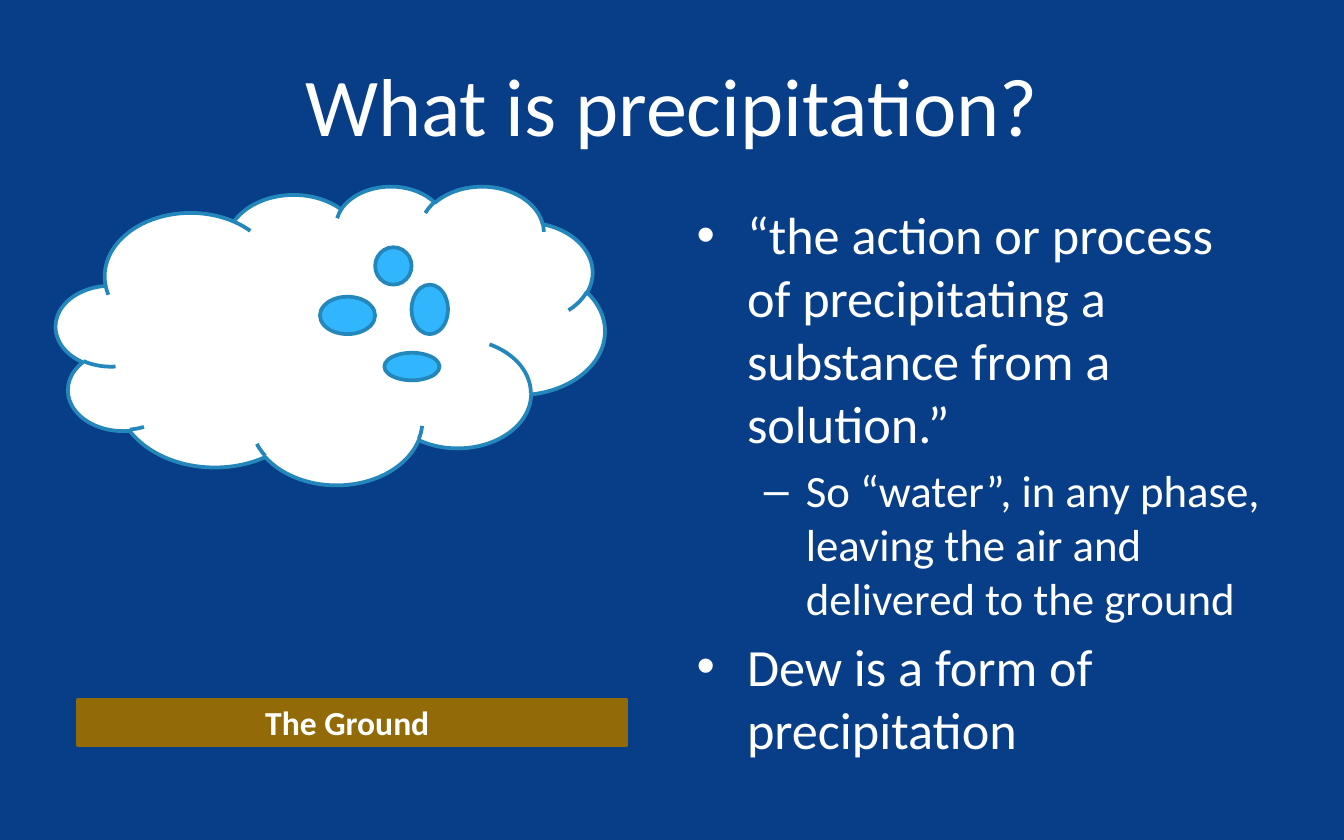
from typing import NamedTuple

from lxml.etree import SubElement
from pptx import Presentation
from pptx.dml.color import RGBColor
from pptx.enum.shapes import MSO_SHAPE
from pptx.enum.text import MSO_ANCHOR, MSO_AUTO_SIZE, PP_ALIGN
from pptx.oxml.ns import qn
from pptx.util import Pt

NAVY = RGBColor(0x07, 0x3E, 0x87)
WHITE = RGBColor(0xFF, 0xFF, 0xFF)
OUTLINE = RGBColor(0x24, 0x87, 0xBB)
WATER = RGBColor(0x31, 0xB6, 0xFD)
EARTH = RGBColor(0x93, 0x6A, 0x08)
FONT = "Calibri"


class Box(NamedTuple):
    left: float
    top: float
    width: float
    height: float


class Level(NamedTuple):
    size: float
    margin: float
    hanging: float
    bullet: str


class Point(NamedTuple):
    text: str
    level: int


LEVELS = [Level(28, 27, 27, "•"), Level(24, 58.5, 22.5, "–")]
POINTS = [
    Point("“the action or process of precipitating a substance from a solution.”", 0),
    Point("So “water”, in any phase, leaving the air and delivered to the ground", 1),
    Point("Dew is a form of precipitation", 0),
]
DROPLETS = [
    Box(171.4, 159, 29.5, 20),
    Box(205.9, 189, 29.5, 14.75),
    Box(220.5, 152.5, 19.5, 26.5),
    Box(201, 132.5, 19.5, 20),
]


def place(s, box: Box) -> None:
    s.left, s.top, s.width, s.height = (Pt(v) for v in box)


def write(p, text: str, *, size: float, bold: bool = False, align=None) -> None:
    p.alignment = align
    r = p.add_run()
    r.text = text
    r.font.name, r.font.size, r.font.bold = FONT, Pt(size), bold
    r.font.color.rgb = WHITE


def add_shape(shapes, kind, box: Box, fill: RGBColor, line: RGBColor):
    s = shapes.add_shape(kind, *(Pt(v) for v in box))
    s.shadow.inherit = False
    s.fill.solid()
    s.fill.fore_color.rgb = fill
    s.line.color.rgb = line
    s.line.width = Pt(2)
    return s


def add_bullet(p, level: Level) -> None:
    pPr = p._p.get_or_add_pPr()
    pPr.set("marL", str(Pt(level.margin)))
    pPr.set("indent", str(-Pt(level.hanging)))
    SubElement(pPr, qn("a:buFont")).set("typeface", "Arial")
    SubElement(pPr, qn("a:buChar")).set("char", level.bullet)


def main() -> None:
    prs = Presentation()
    prs.slide_width, prs.slide_height = Pt(720), Pt(450)
    slide = prs.slides.add_slide(prs.slide_layouts[1])
    slide.background.fill.solid()
    slide.background.fill.fore_color.rgb = NAVY

    # Title
    title, body = slide.placeholders
    place(title, Box(36, 18, 648, 75))
    title.text_frame.vertical_anchor = MSO_ANCHOR.MIDDLE
    write(title.text_frame.paragraphs[0], "What is precipitation?",
          size=44, align=PP_ALIGN.CENTER)

    # Definition list
    place(body, Box(366, 105, 318, 297))
    tf = body.text_frame
    tf.auto_size = MSO_AUTO_SIZE.NONE
    for i, point in enumerate(POINTS):
        level = LEVELS[point.level]
        p = tf.add_paragraph() if i else tf.paragraphs[0]
        p.level = point.level
        p.space_before = Pt(0.2 * level.size if i else 0)
        add_bullet(p, level)
        write(p, point.text, size=level.size)

    # Cloud with its water droplets
    add_shape(slide.shapes, MSO_SHAPE.CLOUD, Box(30, 99.5, 294, 160), WHITE, OUTLINE)
    droplets = slide.shapes.add_group_shape()
    for box in DROPLETS:
        add_shape(droplets.shapes, MSO_SHAPE.OVAL, box, WATER, OUTLINE)

    # Ground and its label
    add_shape(slide.shapes, MSO_SHAPE.RECTANGLE, Box(41.6, 375, 294, 24), EARTH, EARTH)
    label = slide.shapes.add_textbox(Pt(135), Pt(372.5), Pt(103), Pt(29))
    label.text_frame.word_wrap = False
    label.text_frame.auto_size = MSO_AUTO_SIZE.SHAPE_TO_FIT_TEXT
    write(label.text_frame.paragraphs[0], "The Ground", size=18, bold=True)

    prs.save("out.pptx")


if __name__ == "__main__":
    main()
